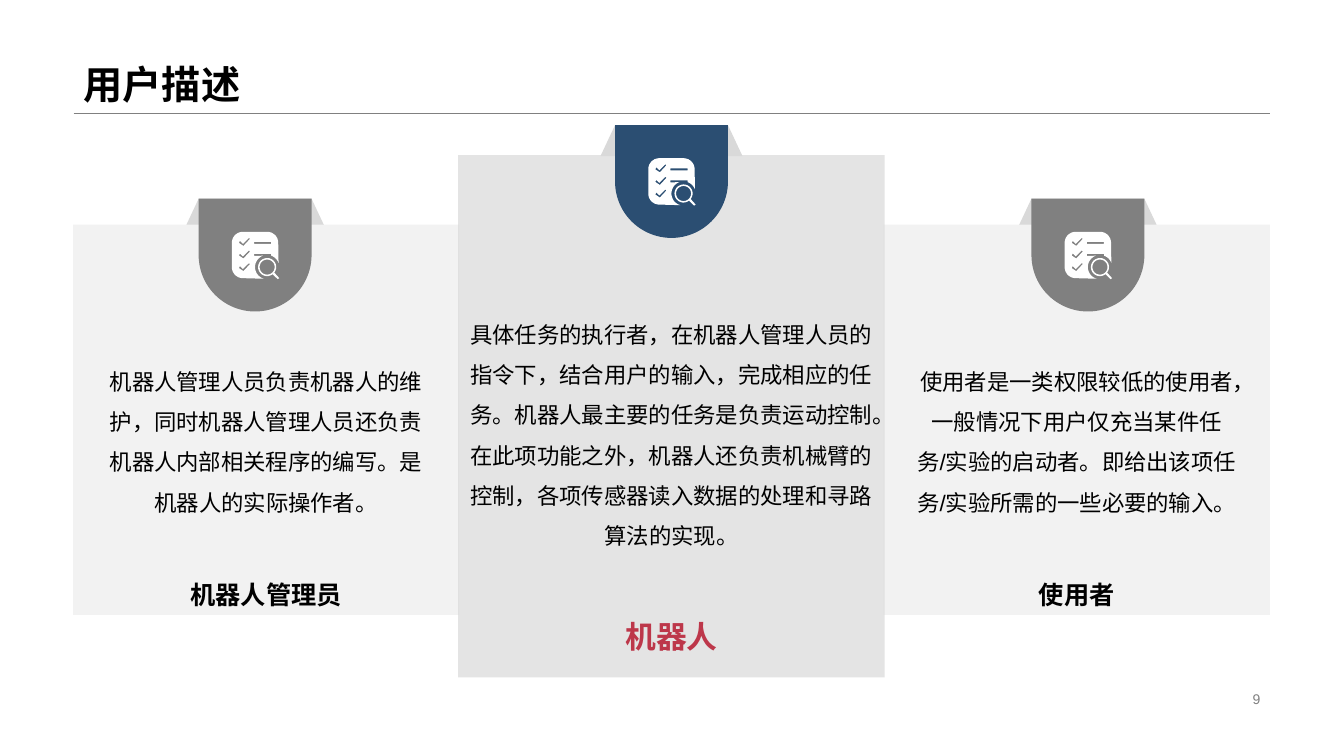
"""Build the user description slide with three role cards."""
from dataclasses import dataclass
from math import cos, radians, sin

from lxml import etree
from pptx import Presentation
from pptx import util as u
from pptx.dml.color import RGBColor
from pptx.enum import shapes, text
from pptx.oxml.ns import qn


@dataclass(frozen=True)
class Theme:
    font: str = "Arial"
    black: str = "000000"
    white: str = "FFFFFF"
    gray: str = "808080"
    flap: str = "D9D9D9"
    pale: str = "F2F2F2"
    navy: str = "2B4E72"
    red: str = "BD374A"
    title: int = 28
    star: int = 22
    name: int = 18
    body: int = 16
    page: int = 10


T = Theme()
TITLE = "用户描述"
PAGE = "9"
SIDE = dict(card=(3.83, 2.23, 3.87), badge=1.97, text=(3.47, 3.21, 2.21),
            fill=T.pale, alpha=100, tab=T.gray, size=T.name, color=T.black, foot=0.05)
STAR = dict(card=(4.23, 1.54, 5.18), badge=1.24, text=(4.23, 2.79, 2.92),
            fill=T.flap, alpha=70, tab=T.navy, size=T.star, color=T.red, foot=0.23)
ROLES = [
    (-1, SIDE, "机器人管理员",
     "机器人管理人员负责机器人的维护，同时机器人管理人员还负责机器人内部相关程序的编写。是机器人的实际操作者。"),
    (1, SIDE, "使用者",
     "使用者是一类权限较低的使用者，一般情况下用户仅充当某件任务/实验的启动者。即给出该项任务/实验所需的一些必要的输入。"),
    (0, STAR, "机器人",
     "具体任务的执行者，在机器人管理人员的指令下，结合用户的输入，完成相应的任务。机器人最主要的任务是负责运动控制。"
     "在此项功能之外，机器人还负责机械臂的控制，各项传感器读入数据的处理和寻路算法的实现。"),
]
MID, CARD_GAP, TAB_GAP = 6.66, 4.02, 4.13
TAB, FLAP, FLAP_H = 1.12, 1.41, 0.31
CHECK = [(17, 31), (11, 37), (8, 34), (7, 36), (11.5, 39), (18, 32)]


def arc(x, y, r, a, b, n=24):
    turns = [radians(a + (b - a) * i / n) for i in range(n + 1)]
    return [(x + r * cos(t), y + r * sin(t)) for t in turns]


def outline():
    sheet = (arc(35, 11, 11, -90, 0) + arc(35, 35, 12, -20, -70)
             + [(39, 22), (22, 22), (22, 24)] + arc(35, 35, 12, -110, -255)
             + arc(11, 35, 11, 90, 180) + arc(11, 11, 11, 180, 270))
    bar = [(22, 10), (39, 10), (39, 12), (22, 12)]
    lens = arc(35, 35, 9, 52, 398) + [(47, 46), (45.5, 47)]
    ticks = [[(x, y - d) for x, y in CHECK] for d in (0, 12.5, 25)]
    return [sheet, bar, lens, arc(35, 35, 7.5, 0, 360), *ticks]


def box(x, y, w, h):
    return [u.Inches(v) for v in (x, y, w, h)]


def paint(shape, color, alpha=100):
    shape.shadow.inherit = False
    shape.fill.solid()
    shape.fill.fore_color.rgb = RGBColor.from_string(color)
    shape.line.fill.background()
    if alpha < 100:
        tone = shape.fill._xPr.find(qn("a:solidFill"))[0]
        etree.SubElement(tone, qn("a:alpha"), val=str(alpha * 1000))
    return shape


def write(shape, words, size, color, bold=False, align="CENTER", anchor="MIDDLE",
          space=1.0, foot=0.05):
    frame = shape.text_frame
    look = dict(word_wrap=True, auto_size=text.MSO_AUTO_SIZE.NONE,
                vertical_anchor=getattr(text.MSO_ANCHOR, anchor),
                margin_bottom=u.Inches(foot))
    for key, val in look.items():
        setattr(frame, key, val)
    para = frame.paragraphs[0]
    para.alignment = getattr(text.PP_ALIGN, align)
    para.line_spacing = space
    run = para.add_run()
    run.text = words
    for key, val in dict(name=T.font, size=u.Pt(size), bold=bold).items():
        setattr(run.font, key, val)
    run.font.color.rgb = RGBColor.from_string(color)


def icon(slide, x, y):
    paths = [[(px * 10, py * 10) for px, py in path] for path in outline()]
    pen = slide.shapes.build_freeform(*paths[0][0], scale=u.Inches(1) / 1000)
    pen.add_line_segments(paths[0][1:])
    for path in paths[1:]:
        pen.move_to(*path[0])
        pen.add_line_segments(path[1:])
    paint(pen.convert_to_shape(u.Inches(x), u.Inches(y)), T.white)


def card(slide, side, kind, name, body):
    add, forms = slide.shapes.add_shape, shapes.MSO_SHAPE
    mid, tab, top = MID + side * CARD_GAP, MID + side * TAB_GAP, kind["badge"]
    flap = add(forms.TRAPEZOID, *box(tab - FLAP / 2, top, FLAP, FLAP_H))
    flap.adjustments[0] = 0.47
    paint(flap, T.flap)
    w, y, h = kind["card"]
    panel = paint(add(forms.RECTANGLE, *box(mid - w / 2, y, w, h)),
                  kind["fill"], kind["alpha"])
    write(panel, name, kind["size"], kind["color"], True, anchor="BOTTOM",
          foot=kind["foot"])
    badge = add(forms.ROUND_2_SAME_RECTANGLE, *box(tab - TAB / 2, top, TAB, TAB))
    badge.adjustments[0], badge.adjustments[1] = 0, 0.5
    paint(badge, kind["tab"])
    icon(slide, tab - 0.23, top + 0.33)
    w, y, h = kind["text"]
    note = slide.shapes.add_textbox(*box(mid - w / 2, y, w, h))
    write(note, body, T.body, T.black, space=1.5)


def main():
    deck = Presentation()
    deck.slide_width, deck.slide_height = u.Inches(13.33), u.Inches(7.5)
    slide = deck.slides.add_slide(deck.slide_layouts[5])
    title = slide.shapes.title
    title.left, title.top, title.width, title.height = box(0.73, 0, 11.87, 1.12)
    write(title, TITLE, T.title, T.black, True, "LEFT", "BOTTOM", 0.9)
    rule = slide.shapes.add_connector(shapes.MSO_CONNECTOR.STRAIGHT,
                                      *box(0.73, 1.12, 12.6, 1.12))
    rule.line.color.rgb = RGBColor.from_string(T.gray)
    rule.line.width = u.Pt(0.25)
    etree.SubElement(rule._element.spPr, qn("a:effectLst"))
    for role in ROLES:
        card(slide, *role)
    page = slide.shapes.add_textbox(*box(9.42, 6.82, 3.18, 0.23))
    write(page, PAGE, T.page, T.gray, align="RIGHT")
    deck.save("out.pptx")


if __name__ == "__main__":
    main()
